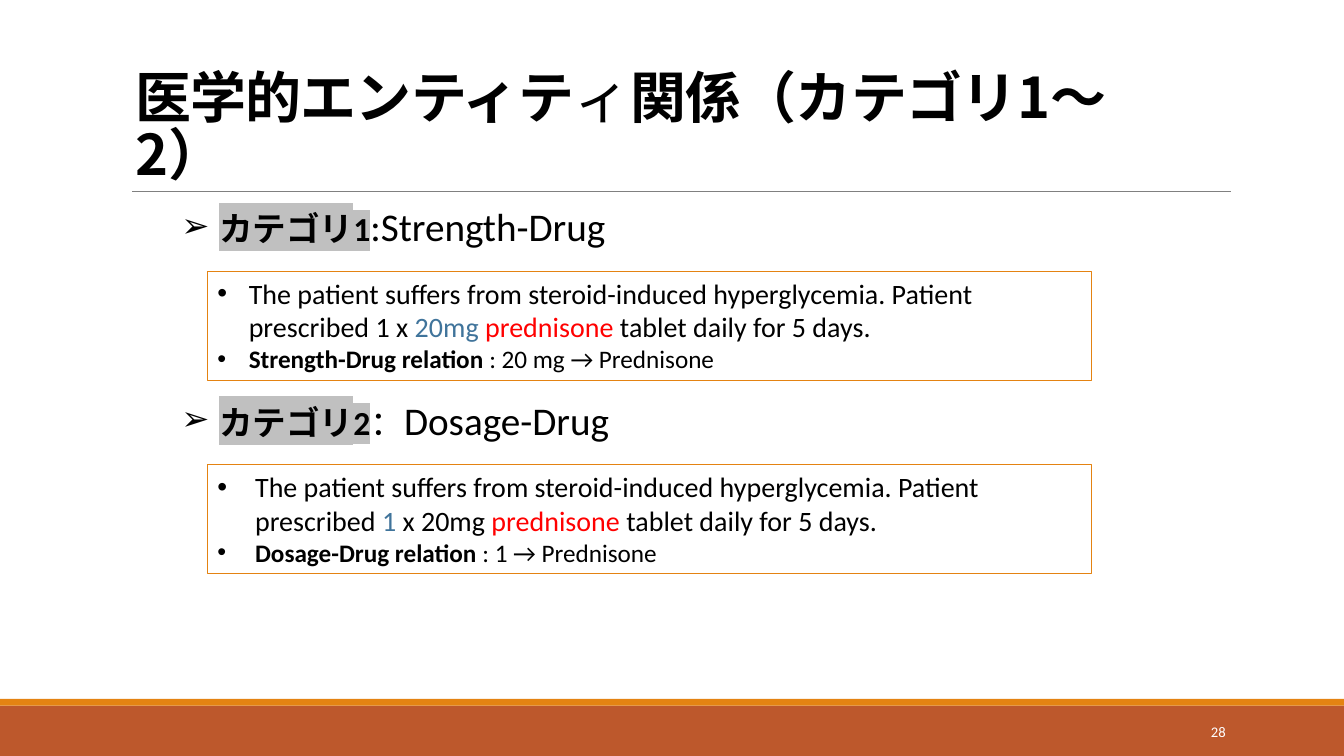
from dataclasses import dataclass

import lxml.etree
import pptx
import pptx.dml.color
import pptx.enum.shapes
import pptx.enum.text
import pptx.oxml.ns
import pptx.util
from pptx.util import Cm


@dataclass(frozen=True)
class Theme:
    latin: str = "Calibri"
    asian: str = "Noto Sans CJK JP"
    black: str = "000000"
    white: str = "FFFFFF"
    blue: str = "40749B"
    red: str = "FF0000"
    orange: str = "E48312"
    rust: str = "BD582C"
    rule: str = "808080"
    marker: str = "C0C0C0"
    title: float = 40
    heading: float = 28
    label: float = 24
    sentence: float = 20
    relation: float = 18
    number: float = 10.5


theme = Theme()
rgb = pptx.dml.color.RGBColor.from_string
qn = pptx.oxml.ns.qn
shapes_enum = pptx.enum.shapes
text_enum = pptx.enum.text


def add_span(para, text, size, color=theme.black, bold=False, font=theme.latin, marker=None):
    span = para.add_run()
    span.text = text
    span.font.size = pptx.util.Pt(size)
    span.font.bold = bold
    span.font.color.rgb = rgb(color)
    properties = span.font._element
    if marker:
        highlight = lxml.etree.SubElement(properties, qn("a:highlight"))
        lxml.etree.SubElement(highlight, qn("a:srgbClr"), val=marker)
    span.font.name = font
    lxml.etree.SubElement(properties, qn("a:ea"), typeface=theme.asian)
    return span


def set_bullet(para, symbol, left, hanging):
    para.alignment = text_enum.PP_ALIGN.LEFT
    properties = para._p.get_or_add_pPr()
    properties.set("marL", str(Cm(left)))
    properties.set("indent", str(-Cm(hanging)))
    lxml.etree.SubElement(properties, qn("a:buFont"), typeface="Arial")
    lxml.etree.SubElement(properties, qn("a:buChar"), char=symbol)


deck = pptx.Presentation()
deck.slide_width, deck.slide_height = Cm(33.87), Cm(19.05)
page = deck.slides.add_slide(deck.slide_layouts[5])

# Footer bars
for top, height, color in [(17.78, 1.27, theme.rust), (17.61, 0.17, theme.orange)]:
    bar = page.shapes.add_shape(
        shapes_enum.MSO_SHAPE.RECTANGLE, 0, Cm(top), deck.slide_width, Cm(height))
    bar.shadow.inherit = False
    bar.fill.solid()
    bar.fill.fore_color.rgb = rgb(color)
    bar.line.fill.background()

# Rule below the title
rule = page.shapes.add_connector(
    shapes_enum.MSO_CONNECTOR.STRAIGHT, Cm(3.33), Cm(4.82), Cm(31.01), Cm(4.82))
rule.line.color.rgb = rgb(theme.rule)
rule.line.width = pptx.util.Pt(0.5)
lxml.etree.SubElement(rule._element.spPr, qn("a:effectLst"))

# Title
title = page.shapes.title
title.left, title.top, title.width, title.height = Cm(3.15), Cm(2.13), Cm(26.97), Cm(2.72)
title.text_frame.word_wrap = True
title.text_frame.auto_size = text_enum.MSO_AUTO_SIZE.NONE
title.text_frame.vertical_anchor = text_enum.MSO_ANCHOR.BOTTOM
para = title.text_frame.paragraphs[0]
para.alignment = text_enum.PP_ALIGN.LEFT
para.line_spacing = 0.85
for text, bold, font in [
    ("医学的エンティテ", True, theme.latin),
    ("ィ", False, theme.latin),
    ("関係（カテゴリ1〜2）", True, theme.asian),
]:
    span = add_span(para, text, theme.title, bold=bold, font=font)
    span.font._element.set("spc", "-50")

# Slide number
box = page.shapes.add_textbox(Cm(27.51), Cm(17.93), Cm(3.63), Cm(1.02))
box.text_frame.word_wrap = True
box.text_frame.vertical_anchor = text_enum.MSO_ANCHOR.MIDDLE
para = box.text_frame.paragraphs[0]
para.alignment = text_enum.PP_ALIGN.RIGHT
add_span(para, "28", theme.number, theme.white)

# Categories: label, separator with its size, name, bullet indent, sentence, relation
categories = [
    ("カテゴリ1", ":", theme.heading, "Strength-Drug", 0.79,
     [("The patient suffers from steroid-induced hyperglycemia. Patient prescribed 1 x ",
       theme.black),
      ("20mg ", theme.blue), ("prednisone ", theme.red),
      ("tablet daily for 5 days.", theme.black)],
     ": 20 mg → Prednisone"),
    ("カテゴリ2", "：", theme.label, "Dosage-Drug", 0.95,
     [("The patient suffers from steroid-induced hyperglycemia. Patient prescribed ",
       theme.black),
      ("1", theme.blue), (" x 20mg ", theme.black), ("prednisone ", theme.red),
      ("tablet daily for 5 days.", theme.black)],
     ": 1 → Prednisone"),
]
for index, (label, separator, separator_size, name, indent, sentence, relation) in enumerate(
        categories):
    top = 4.98 + index * 4.87

    # Heading
    box = page.shapes.add_textbox(Cm(3.05), Cm(top), Cm(28.4), Cm(3.25))
    box.text_frame.word_wrap = True
    para = box.text_frame.paragraphs[0]
    set_bullet(para, "➢", 2.22, 0.95)
    add_span(para, label, theme.label, bold=True, marker=theme.marker)
    add_span(para, separator, separator_size)
    add_span(para, name, theme.heading)

    # Framed example
    frame = page.shapes.add_shape(
        shapes_enum.MSO_SHAPE.RECTANGLE, Cm(5.23), Cm(top + 1.86), Cm(22.28), Cm(2.74))
    frame.shadow.inherit = False
    frame.fill.background()
    frame.line.color.rgb = rgb(theme.orange)
    frame.line.width = pptx.util.Pt(0.75)
    frame.text_frame.word_wrap = True
    frame.text_frame.vertical_anchor = text_enum.MSO_ANCHOR.TOP
    para = frame.text_frame.paragraphs[0]
    set_bullet(para, "•", indent, indent)
    for text, color in sentence:
        add_span(para, text, theme.sentence, color)
    para = frame.text_frame.add_paragraph()
    set_bullet(para, "•", indent, indent)
    add_span(para, f"{name} relation ", theme.relation, bold=True)
    add_span(para, relation, theme.relation)

deck.save("out.pptx")
